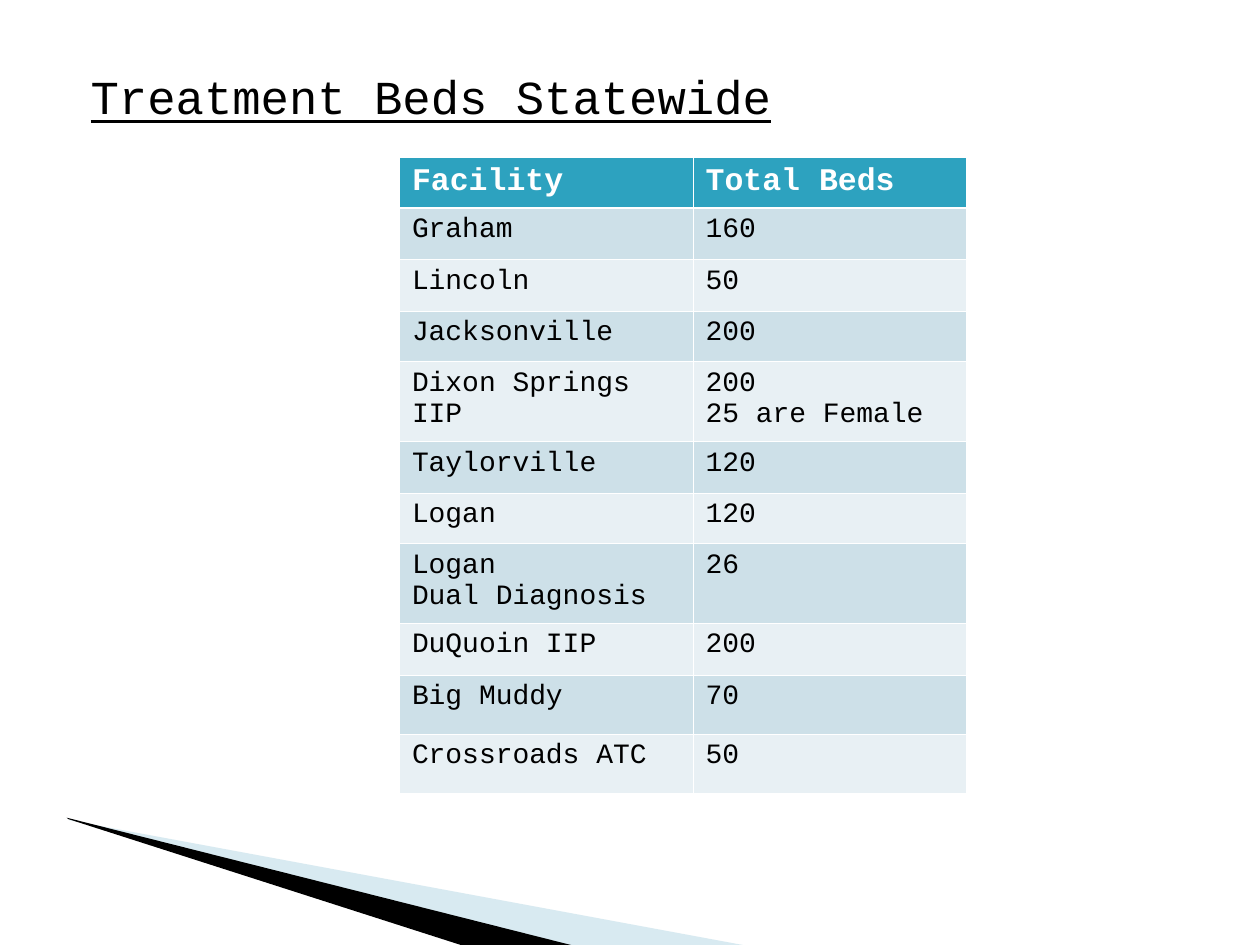
from lxml.etree import SubElement
from pptx import Presentation
from pptx.dml.color import RGBColor
from pptx.oxml.ns import qn
from pptx.util import Inches, Pt

FONT = "Courier New"
TITLE = "Treatment Beds Statewide"
HEADER = ("Facility", "Total Beds")
FACILITIES = [
    ("Graham", "160", 0.41),
    ("Lincoln", "50", 0.41),
    ("Jacksonville", "200", 0.4),
    ("Dixon Springs IIP", "200\n25 are Female", 0.63),
    ("Taylorville", "120", 0.41),
    ("Logan", "120", 0.4),
    ("Logan\nDual Diagnosis", "26", 0.63),
    ("DuQuoin IIP", "200", 0.41),
    ("Big Muddy", "70", 0.47),
    ("Crossroads ATC", "50", 0.47),
]
HEADER_HEIGHT = 0.4
COLUMN_WIDTHS = (2.33, 2.17)
HEADER_FILL = "2DA2BF"
BAND_FILLS = ("CDE0E8", "E8F0F4")
THIN, THICK = 0.45, 1.47
WEDGES = [
    ([(0.55, 6.51), (5.95, 7.51), (4.56, 7.51), (0.55, 6.5)], "9FCBDC", 40),
    ([(0.53, 6.49), (4.57, 7.51), (3.72, 7.52), (0.54, 6.5)], "000000", 100),
]


def color(value):
    return RGBColor.from_string(value)


def set_fill(target, value):
    target.fill.solid()
    target.fill.fore_color.rgb = color(value)


def style(paragraph, size, value, bold=False):
    font = paragraph.font
    font.name = FONT
    font.size = Pt(size)
    font.bold = bold
    font.color.rgb = color(value)


def add_wedge(slide, points, value, opacity):
    corners = [(Inches(x), Inches(y)) for x, y in points]
    builder = slide.shapes.build_freeform(*corners[0])
    builder.add_line_segments(corners[1:], close=True)
    shape = builder.convert_to_shape()
    shape.shadow.inherit = False
    set_fill(shape, value)
    shape.line.fill.background()
    if opacity < 100:
        fill_color = shape.fill._xPr.find(qn("a:solidFill"))[0]
        SubElement(fill_color, qn("a:alpha"), val=str(opacity * 1000))


def add_title(slide):
    box = slide.shapes.add_textbox(Inches(0.5), Inches(0.42), Inches(9), Inches(6.92))
    frame = box.text_frame
    frame.word_wrap = True
    frame.margin_left = Inches(0.22)
    frame.margin_top = Inches(0.11)
    frame.text = TITLE
    paragraph = frame.paragraphs[0]
    style(paragraph, 27, "000000")
    paragraph.font.underline = True


def add_borders(cell, top, bottom):
    properties = cell._tc.get_or_add_tcPr()
    for side, width in (("L", THIN), ("R", THIN), ("T", top), ("B", bottom)):
        line = SubElement(properties, qn(f"a:ln{side}"), w=str(Pt(width)))
        fill = SubElement(line, qn("a:solidFill"))
        SubElement(fill, qn("a:srgbClr"), val="FFFFFF")


def add_beds_table(slide):
    rows = [(*HEADER, HEADER_HEIGHT), *FACILITIES]
    frame = slide.shapes.add_table(
        len(rows), len(COLUMN_WIDTHS), Inches(3.17), Inches(1.25),
        Inches(sum(COLUMN_WIDTHS)), Inches(sum(row[-1] for row in rows)),
    )
    table = frame.table
    for column, width in zip(table.columns, COLUMN_WIDTHS):
        column.width = Inches(width)
    for index, (*texts, height) in enumerate(rows):
        table.rows[index].height = Inches(height)
        is_header = index == 0
        for column, text in enumerate(texts):
            cell = table.cell(index, column)
            cell.text = text
            add_borders(cell, THICK if index == 1 else THIN, THICK if is_header else THIN)
            set_fill(cell, HEADER_FILL if is_header else BAND_FILLS[(index - 1) % 2])
            for paragraph in cell.text_frame.paragraphs:
                if is_header:
                    style(paragraph, 18, "FFFFFF", bold=True)
                else:
                    style(paragraph, 16, "000000")


def main():
    presentation = Presentation()
    presentation.slide_width = Inches(10)
    presentation.slide_height = Inches(7.5)
    slide = presentation.slides.add_slide(presentation.slide_layouts[6])
    for wedge in WEDGES:
        add_wedge(slide, *wedge)
    add_title(slide)
    add_beds_table(slide)
    presentation.save("out.pptx")


if __name__ == "__main__":
    main()
